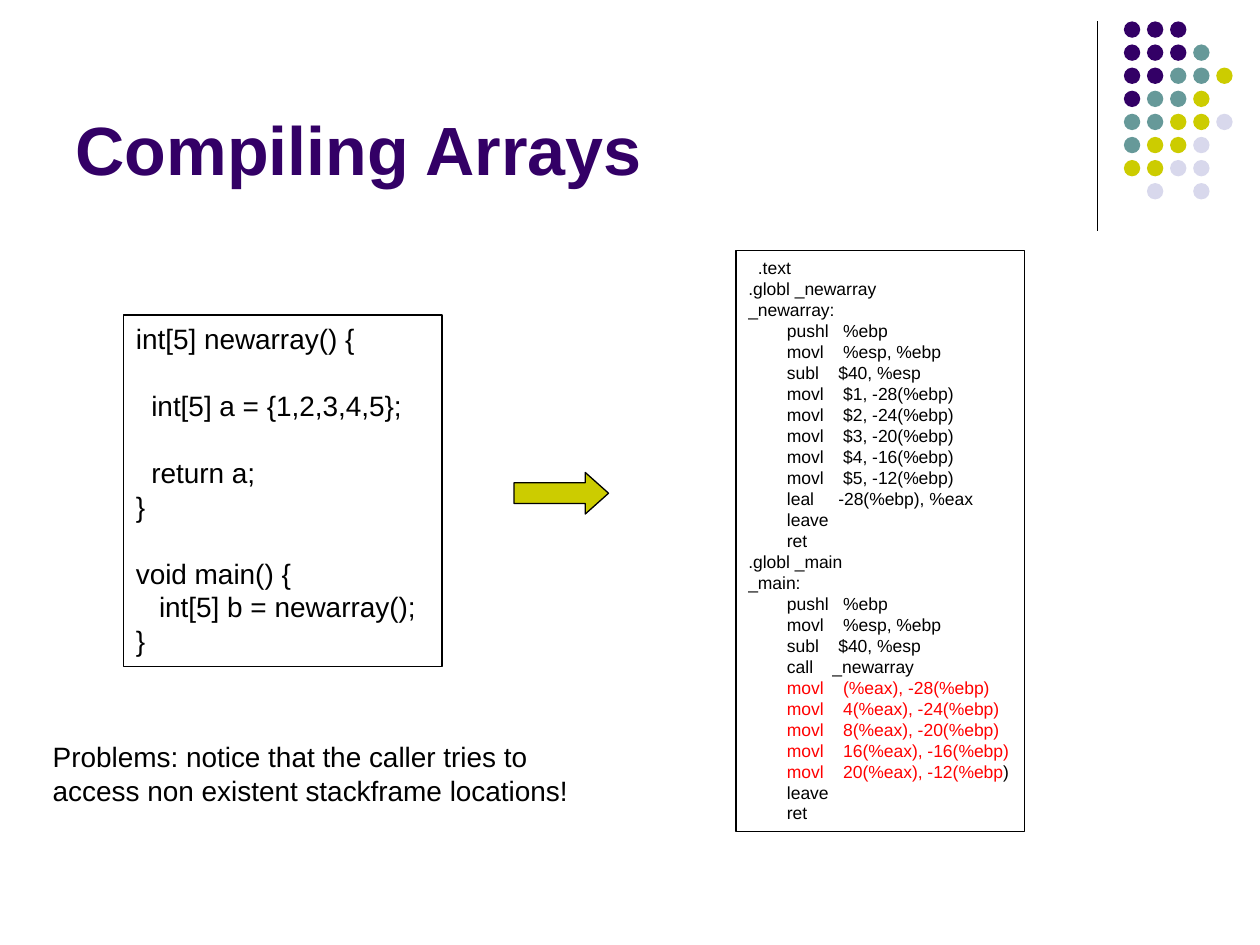
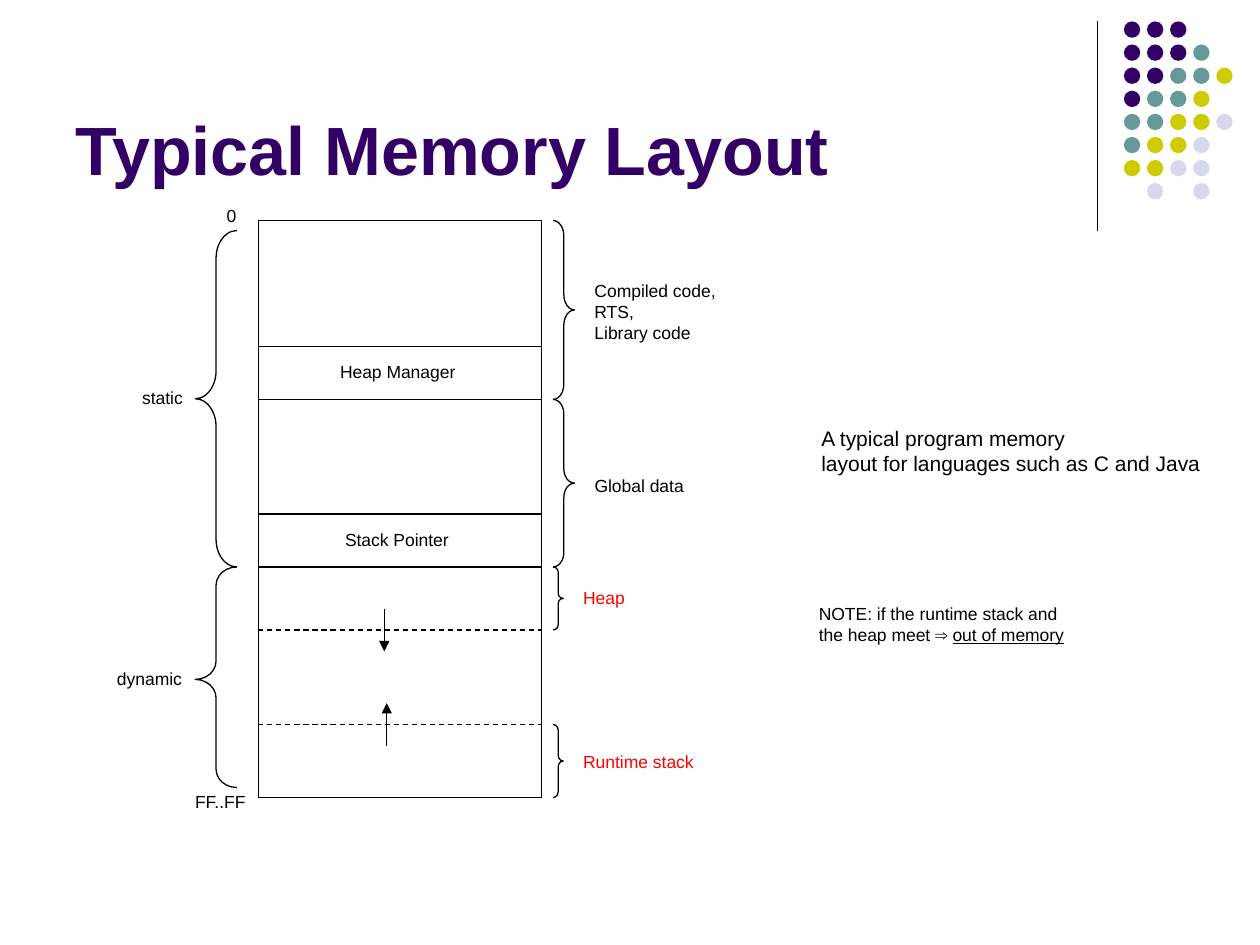
from dataclasses import dataclass

from lxml.etree import SubElement
from pptx import Presentation
from pptx.dml.color import RGBColor
from pptx.enum.dml import MSO_LINE
from pptx.enum.shapes import MSO_CONNECTOR, MSO_SHAPE
from pptx.enum.text import MSO_ANCHOR, MSO_AUTO_SIZE, PP_ALIGN
from pptx.oxml.ns import qn
from pptx.util import Inches, Pt


@dataclass(frozen=True)
class Theme:
    font: str = "Arial"
    purple: str = "330066"
    teal: str = "669999"
    lime: str = "CCCC00"
    pale: str = "D8D8EC"
    ink: str = "000000"
    alert: str = "FF0000"
    title: int = 39
    body: int = 16
    remark: int = 12
    label: int = 10
    leading: float = 1.2
    stroke: float = 0.75


THEME = Theme()

# Corner dots, one letter per colour
DOT_ROWS = ["PPP", "PPPT", "PPTTL", "PTTL", "TTLLV", "TLLV", "LLVV", " V V"]
DOT_COLOURS = {"P": THEME.purple, "T": THEME.teal, "L": THEME.lime, "V": THEME.pale}

SOURCE_CODE = """\
int[5] newarray() {

  int[5] a = {1,2,3,4,5};

  return a;
}

void main() {
   int[5] b = newarray();
}"""

ASSEMBLY = """\
  .text
.globl _newarray
_newarray:
        pushl   %ebp
        movl    %esp, %ebp
        subl    $40, %esp
        movl    $1, -28(%ebp)
        movl    $2, -24(%ebp)
        movl    $3, -20(%ebp)
        movl    $4, -16(%ebp)
        movl    $5, -12(%ebp)
        leal     -28(%ebp), %eax
        leave
        ret
.globl _main
_main:
        pushl   %ebp
        movl    %esp, %ebp
        subl    $40, %esp
        call    _newarray
        movl    (%eax), -28(%ebp)
        movl    4(%eax), -24(%ebp)
        movl    8(%eax), -20(%ebp)
        movl    16(%eax), -16(%ebp)
        movl    20(%eax), -12(%ebp)
        leave
        ret"""


# Text
def add_span(para, text, size, colour=THEME.ink, **extra):
    for index, piece in enumerate(text.split("\n")):
        if index:
            para.add_line_break()
        span = para.add_run()
        span.text = piece
        values = {"name": THEME.font, "size": Pt(size), **extra}
        for name, value in values.items():
            setattr(span.font, name, value)
        span.font.color.rgb = RGBColor.from_string(colour)


def write_lines(box, lines, size):
    """Each line is a list of (text, format) spans; an empty line becomes a gap."""
    frame = box.text_frame
    settings = {"word_wrap": False, "auto_size": MSO_AUTO_SIZE.NONE,
                "vertical_anchor": MSO_ANCHOR.TOP}
    for name, value in settings.items():
        setattr(frame, name, value)
    pitch = size * THEME.leading
    gap = 0
    para = None
    for spans in lines:
        if not spans:
            gap += pitch
            continue
        para = frame.add_paragraph() if para else frame.paragraphs[0]
        layout = {"alignment": PP_ALIGN.LEFT, "line_spacing": Pt(pitch),
                  "space_before": Pt(gap)}
        for name, value in layout.items():
            setattr(para, name, value)
        gap = 0
        for text, look in spans:
            add_span(para, text, size, **look)


def plain(*lines, **look):
    return [[(line, look)] if line else [] for line in lines]


def add_text(page, at, lines, size):
    box = page.shapes.add_textbox(*map(Inches, at))
    write_lines(box, lines, size)


# Shapes and lines
def add_shape(shapes, kind, at, fill=None, outlined=True, adjust=()):
    shape = shapes.add_shape(kind, *map(Inches, at))
    shape.shadow.inherit = False
    if fill:
        shape.fill.solid()
        shape.fill.fore_color.rgb = RGBColor.from_string(fill)
    else:
        shape.fill.background()
    if outlined:
        shape.line.color.rgb = RGBColor.from_string(THEME.ink)
        shape.line.width = Pt(THEME.stroke)
    else:
        shape.line.fill.background()
    for index, value in enumerate(adjust):
        shape.adjustments[index] = value
    return shape


def add_line(shapes, start, end, dashed=False, arrow=False):
    line = shapes.add_connector(MSO_CONNECTOR.STRAIGHT, *map(Inches, start + end))
    line.line.color.rgb = RGBColor.from_string(THEME.ink)
    line.line.width = Pt(THEME.stroke)
    if dashed:
        line.line.dash_style = MSO_LINE.DASH
    if arrow:
        SubElement(line.get_or_add_ln(), qn("a:tailEnd"), type="triangle")
    SubElement(line.element.spPr, qn("a:effectLst"))


# Shared frame
def prepare_layout(layout):
    title = layout.placeholders[0]
    place = {"left": 0.5, "top": 0.13, "width": 8.25, "height": 1.42}
    for name, value in place.items():
        setattr(title, name, Inches(value))


def move_decoration(page, layout):
    """Draw the corner rule and dots, then hand them to the layout."""
    group = page.shapes.add_group_shape()
    add_line(group.shapes, (8.71, 0.17), (8.71, 1.83))
    pitch = 1.1 / 6
    for row, marks in enumerate(DOT_ROWS):
        for column, mark in enumerate(marks):
            if mark in DOT_COLOURS:
                at = (8.92 + column * pitch, 0.17 + row * pitch, 0.13, 0.13)
                add_shape(group.shapes, MSO_SHAPE.OVAL, at, DOT_COLOURS[mark], False)
    layout.shapes.element.append(group.element)


def add_page(deck, layout, heading):
    page = deck.slides.add_slide(layout)
    frame = page.shapes.title.text_frame
    settings = {"word_wrap": True, "auto_size": MSO_AUTO_SIZE.NONE,
                "vertical_anchor": MSO_ANCHOR.BOTTOM}
    for name, value in settings.items():
        setattr(frame, name, value)
    para = frame.paragraphs[0]
    para.alignment = PP_ALIGN.LEFT
    add_span(para, heading, THEME.title, THEME.purple, bold=True)
    return page


# Compiling Arrays
def assembly_line(line):
    """Reads through the returned pointer are the faulty ones."""
    if "(%eax)" not in line:
        return [(line, {})]
    red = {"colour": THEME.alert}
    if "20(%eax)" in line:
        return [(line[:-1], red), (line[-1], {})]
    return [(line, red)]


def fill_arrays(page):
    code_box = add_shape(page.shapes, MSO_SHAPE.RECTANGLE, (0.98, 2.5, 2.53, 2.79))
    write_lines(code_box, plain(*SOURCE_CODE.split("\n")), THEME.body)
    assembly_box = add_shape(page.shapes, MSO_SHAPE.RECTANGLE, (5.84, 1.99, 2.29, 4.61))
    write_lines(assembly_box, map(assembly_line, ASSEMBLY.split("\n")), THEME.label)
    add_shape(page.shapes, MSO_SHAPE.RIGHT_ARROW, (4.08, 3.75, 0.75, 0.33),
              THEME.lime, adjust=(0.5, 0.56))
    problem = ("Problems: notice that the caller tries to\n"
               "access non existent stackframe locations!")
    add_text(page, (0.32, 5.82, 4.3, 0.64), plain(problem), THEME.body)


# Typical Memory Layout
def fill_memory(page):
    left, width, top, bottom = 2.05, 2.25, 1.75, 6.33
    globals_top, heap_top, heap_end, stack_top = 3.17, 4.5, 5, 5.75

    # Memory block, its pointers and the moving borders
    add_shape(page.shapes, MSO_SHAPE.RECTANGLE, (left, top, width, bottom - top))
    cell = 0.42
    for end in (globals_top, heap_top):
        add_shape(page.shapes, MSO_SHAPE.RECTANGLE, (left, end - cell, width, cell))
    for border in (heap_end, stack_top):
        add_line(page.shapes, (left, border), (left + width, border), dashed=True)
    add_line(page.shapes, (3.05, 4.83), (3.05, 5.17), arrow=True)
    add_line(page.shapes, (3.07, 5.92), (3.07, 5.58), arrow=True)

    # Braces: start, end, width, curve, point
    for start, end, curve, point in ((1.83, heap_top, 0.67, 0.5),
                                     (heap_top, 6.25, 0.44, 0.51)):
        add_shape(page.shapes, MSO_SHAPE.LEFT_BRACE, (1.55, start, 0.33, end - start),
                  adjust=(curve, point))
    for start, end, depth, curve in ((top, globals_top, 0.17, 0.71),
                                     (globals_top, heap_top, 0.17, 0.67),
                                     (heap_top, heap_end, 0.08, 0.5),
                                     (stack_top, bottom, 0.08, 0.58)):
        add_shape(page.shapes, MSO_SHAPE.RIGHT_BRACE, (4.39, start, depth, end - start),
                  adjust=(curve, 0.5))

    # Labels: left, top, width, text, colour
    labels = [
        (2.6, 2.82, 1.12, "Heap Manager", THEME.ink),
        (2.64, 4.15, 1.03, "Stack Pointer", THEME.ink),
        (1.7, 1.58, 0.28, "0", THEME.ink),
        (1.45, 6.23, 0.62, "FF..FF", THEME.ink),
        (1.03, 3.02, 0.53, "static", THEME.ink),
        (0.83, 5.25, 0.72, "dynamic", THEME.ink),
        (4.62, 3.72, 0.91, "Global data", THEME.ink),
        (4.53, 4.61, 0.53, "Heap", THEME.alert),
        (4.53, 5.91, 1.12, "Runtime stack", THEME.alert),
    ]
    for x, y, wide, text, colour in labels:
        add_text(page, (x, y, wide, 0.27), plain(text, colour=colour), THEME.label)
    add_text(page, (4.62, 2.17, 1.17, 0.6),
             plain("Compiled code,", "RTS,", "Library code"), THEME.label)

    # Remarks
    add_text(page, (6.42, 3.33, 3.21, 0.5),
             plain("A typical program memory",
                   "layout for languages such as C and Java"), THEME.remark)
    note = [("NOTE: if the runtime stack and\nthe heap meet ⇒ ", {}),
            ("out of memory", {"underline": True})]
    add_text(page, (6.4, 4.74, 2.19, 0.43), [note], THEME.label)


def main():
    deck = Presentation()
    deck.slide_width, deck.slide_height = Inches(10), Inches(7.5)
    layout = deck.slide_layouts.get_by_name("Title Only")
    prepare_layout(layout)
    arrays = add_page(deck, layout, "Compiling Arrays")
    move_decoration(arrays, layout)
    fill_arrays(arrays)
    fill_memory(add_page(deck, layout, "Typical Memory Layout"))
    deck.save("out.pptx")


if __name__ == "__main__":
    main()
